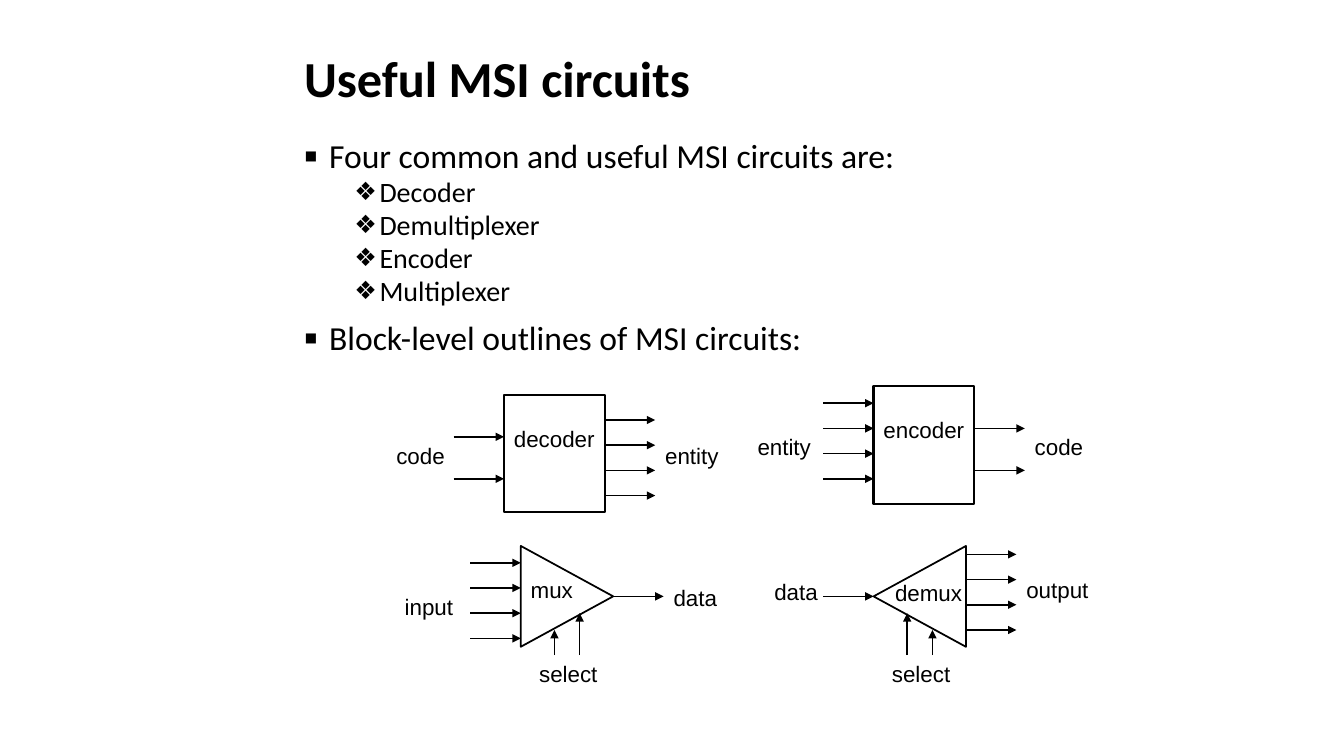
from lxml.etree import SubElement
from pptx import Presentation
from pptx.dml.color import RGBColor
from pptx.enum.shapes import MSO_CONNECTOR as CONN, MSO_SHAPE as SHAPE
from pptx.enum.text import MSO_ANCHOR as ANCHOR, PP_ALIGN as ALIGN
from pptx.oxml.ns import qn
from pptx.util import Emu, Pt

PX = 9525
LEAD = 48    # length of a signal arrow
PITCH = 24   # gap between neighbouring signals


def px(n):
    return Emu(n * PX)


def rgb(color):
    return RGBColor.from_string(color)


def rows(top, count, step=PITCH):
    return [top + i * step for i in range(count)]


class Board:
    """Holds the style, the slide and the shape collection being drawn into."""
    ink = "000000"
    text_font = "Calibri"
    label_font = "Arial"

    def __init__(self, prs):
        self.s = prs.slides.add_slide(prs.slide_layouts[5])
        self.shapes = self.s.shapes

    def start_group(self):
        self.shapes = self.s.shapes.add_group_shape().shapes

    def run(self, p, text, size, font, bold=False):
        r = p.add_run()
        r.text = text
        r.font.name, r.font.size, r.font.bold = font, Pt(size), bold
        r.font.color.rgb = rgb(self.ink)

    def title(self, text, x, y, w, h):
        sp = self.s.shapes.title
        sp.left, sp.top, sp.width, sp.height = map(px, (x, y, w, h))
        tf = sp.text_frame
        tf.vertical_anchor = ANCHOR.MIDDLE
        p = tf.paragraphs[0]
        p.alignment, p.line_spacing = ALIGN.LEFT, 0.9
        self.run(p, text, 36, self.text_font, True)

    def bullets(self, items, x, y, w, h):
        """Each item is a (level, text) pair."""
        styles = [(24, 10, 24, "▪", 120), (20, 2, 72, "❖", 90)]
        tf = self.s.shapes.add_textbox(*map(px, (x, y, w, h))).text_frame
        tf.word_wrap = True
        for i, (level, text) in enumerate(items):
            size, before, margin, mark, percent = styles[level]
            p = tf.add_paragraph() if i else tf.paragraphs[0]
            p.level, p.line_spacing, p.space_before = level, 0.9, Pt(before)
            pPr = p._p.get_or_add_pPr()
            pPr.set("marL", str(px(margin)))
            pPr.set("indent", str(px(-24)))
            SubElement(pPr, qn("a:buSzPct")).set("val", str(percent * 1000))
            SubElement(pPr, qn("a:buFont")).set("typeface", self.label_font)
            SubElement(pPr, qn("a:buChar")).set("char", mark)
            self.run(p, text, size, self.text_font)

    def outline(self, kind, x, y, w, h, weight, rotation=0):
        sp = self.shapes.add_shape(kind, *map(px, (x, y, w, h)))
        sp.shadow.inherit = False
        sp.fill.background()
        sp.line.color.rgb = rgb(self.ink)
        sp.line.width = Pt(weight)
        sp.rotation = rotation

    def box(self, x, y):
        self.outline(SHAPE.RECTANGLE, x, y, 96, 112, 1.5)

    def triangle(self, x, y, rotation):
        """Draw a sideways triangle that covers 88 by 96 px from (x, y)."""
        self.outline(SHAPE.ISOSCELES_TRIANGLE, x - 4, y + 4, 96, 88, 1.25, rotation)

    def label(self, text, x, y, w=72):
        tf = self.shapes.add_textbox(*map(px, (x, y, w, 36))).text_frame
        tf.word_wrap = True
        self.run(tf.paragraphs[0], text, 16, self.label_font)

    def arrow(self, x1, y1, x2, y2):
        c = self.shapes.add_connector(CONN.STRAIGHT, *map(px, (x1, y1, x2, y2)))
        c.line.color.rgb = rgb(self.ink)
        c.line.width = Pt(1.25)
        SubElement(c.line._get_or_add_ln(), qn("a:tailEnd")).set("type", "triangle")
        SubElement(c._element.spPr, qn("a:effectLst"))

    def signals(self, x, ys):
        for y in ys:
            self.arrow(x, y, x + LEAD, y)

    def select(self, x, tips):
        """Tips are the (x, y) ends of the arrows above the select label."""
        for tip_x, tip_y in tips:
            self.arrow(tip_x, 624, tip_x, tip_y)
        self.label("select", x, 624, 80)


def main():
    prs = Presentation()
    prs.slide_width, prs.slide_height = px(1280), px(720)
    b = Board(prs)
    b.title("Useful MSI circuits", 280, 17, 816, 120)
    b.bullets([(0, "Four common and useful MSI circuits are:"),
               (1, "Decoder"), (1, "Demultiplexer"), (1, "Encoder"), (1, "Multiplexer"),
               (0, "Block-level outlines of MSI circuits:")], 280, 128, 784, 248)

    # name, left, top, inputs, outputs, left label and x, right label
    coders = [
        ("decoder", 480, 376, rows(416, 2, 40), rows(400, 4), "code", 368, "entity"),
        ("encoder", 832, 368, rows(384, 4), rows(408, 2, 40), "entity", 712, "code"),
    ]
    for name, x, y, inputs, outputs, left, left_x, right in coders:
        b.start_group()
        b.box(x, y)
        b.label(name, x, y + 24, 104)
        b.signals(x - LEAD, inputs)
        b.signals(x + 96, outputs)
        b.label(left, left_x, y + 40)
        b.label(right, x + 96 + LEAD, y + 40)

    # name and place, left, rotation, inputs, outputs, side labels, select x and tips
    selectors = [
        (("mux", 496, 544), 496, 90, rows(536, 4), [568],
         ("input", 376, 560), ("data", 632, 552), 504, [(528, 600), (552, 584)]),
        (("demux", 843, 547, 88), 832, 270, [568], rows(528, 4),
         ("data", 728, 546), ("output", 968, 544, 80), 840, [(888, 600), (864, 584)]),
    ]
    for name, x, turn, inputs, outputs, left, right, select_x, tips in selectors:
        b.start_group()
        b.triangle(x, 520, turn)
        b.signals(x - LEAD, inputs)
        b.signals(x + 88, outputs)
        for text in (name, left, right):
            b.label(*text)
        b.select(select_x, tips)

    prs.save("out.pptx")


if __name__ == "__main__":
    main()
